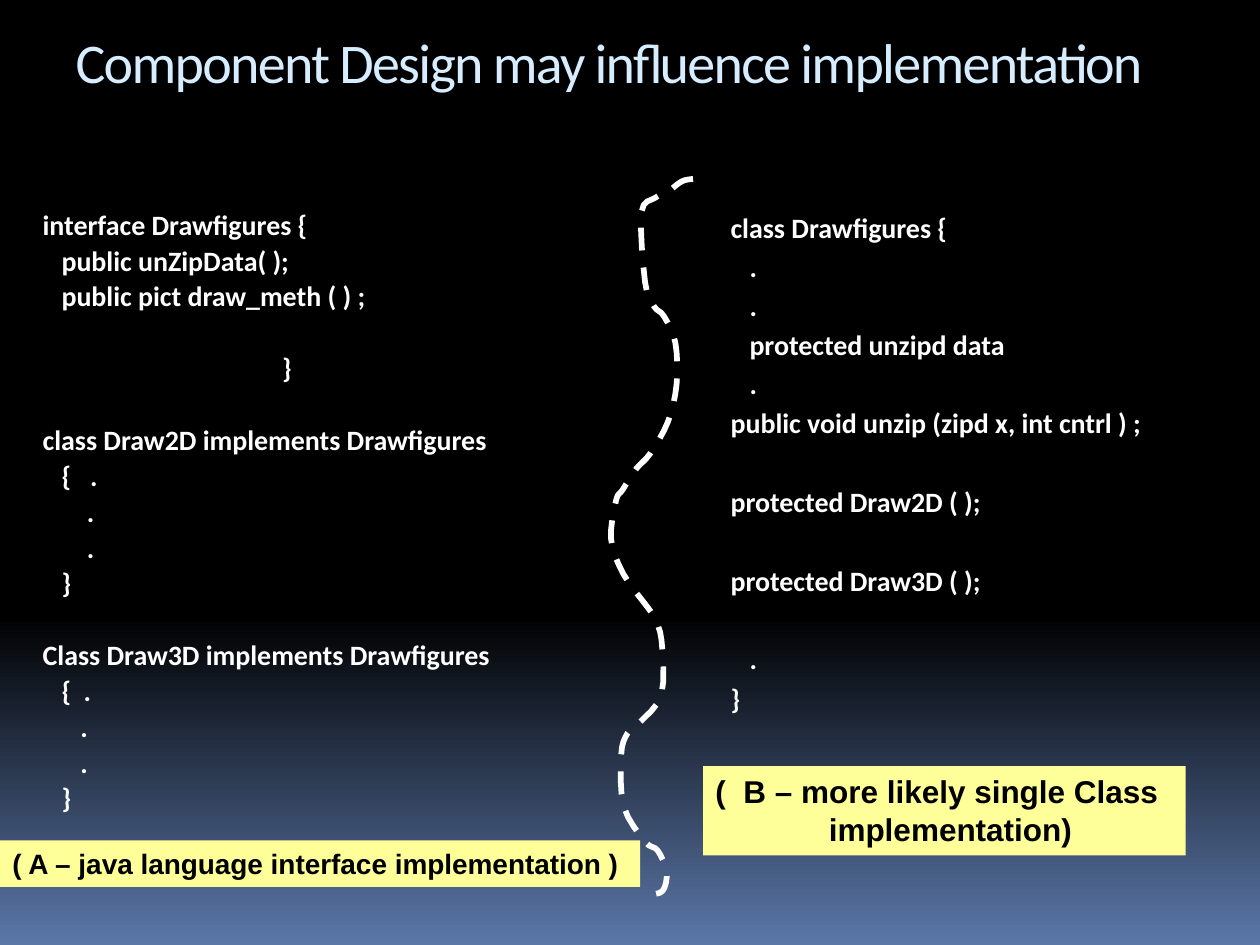
from pptx import Presentation
from pptx import util as u
from pptx.dml.color import RGBColor
from pptx.enum import dml, shapes, text

Inches, Pt = u.Inches, u.Pt


def color(code):
    return RGBColor.from_string(code)


def write(para, words, size, font, code, bold=True):
    run = para.add_run()
    run.text = words
    run.font.size, run.font.name, run.font.bold = Pt(size), font, bold
    run.font.color.rgb = color(code)
    return run


deck = Presentation()
deck.slide_width, deck.slide_height = Inches(10), Inches(7.5)
slide = deck.slides.add_slide(deck.slide_layouts[5])

# Background: black fading to blue at the bottom
back = slide.background.fill
back.gradient()
back.gradient_angle = 270
for stop, (place, code) in zip(back.gradient_stops, [(0.65, "000000"), (1, "5B77A8")]):
    stop.position = place
    stop.color.rgb = color(code)

# Title
title = slide.shapes.title
title.left, title.top, title.width, title.height = map(Inches, (0.5, 0.17, 9, 1.03))
frame = title.text_frame
frame.vertical_anchor = text.MSO_ANCHOR.TOP
frame.auto_size = text.MSO_AUTO_SIZE.NONE
para = frame.paragraphs[0]
para.alignment = text.PP_ALIGN.LEFT
run = write(para, "Component Design may influence implementation", 32, "Calibri", "D6ECFF", False)
run.font._element.set("spc", "-100")

# Code columns: each line is (words, indent in inches, empty lines above)
left = [
    ("interface Drawfigures {", 0, 0),
    ("public unZipData( );", 0.15, 0),
    ("public pict draw_meth ( ) ;", 0.15, 0),
    ("}", 1.9, 1),
    ("class Draw2D implements Drawfigures", 0, 1),
    ("{   .", 0.15, 0),
    (".", 0.35, 0),
    (".", 0.35, 0),
    ("}", 0.15, 0),
    ("Class Draw3D implements Drawfigures", 0, 1),
    ("{  .", 0.15, 0),
    (".", 0.3, 0),
    (".", 0.3, 0),
    ("}", 0.15, 0),
]
right = [
    ("class Drawfigures {", 0.05, 0),
    (".", 0.2, 0),
    (".", 0.2, 0),
    ("protected unzipd data", 0.2, 0),
    (".", 0.2, 0),
    ("public void unzip (zipd x, int cntrl ) ;", 0.05, 0),
    ("protected Draw2D ( );", 0.05, 1),
    ("protected Draw3D ( );", 0.05, 1),
    (".", 0.2, 1),
    ("}", 0.05, 0),
]
for x, lines, pitch in [(0.17, left, 0.7), (5.58, right, 0.8)]:
    box = slide.shapes.add_textbox(Inches(x), Inches(1.67), Inches(4.42), Inches(4.95))
    frame = box.text_frame
    frame.word_wrap = True
    for i, (words, indent, empty) in enumerate(lines):
        para = frame.add_paragraph() if i else frame.paragraphs[0]
        para.line_spacing = pitch
        para.space_before = Pt(7 + empty * (7 + 16 * 1.22 * pitch))
        para._p.get_or_add_pPr().set("marL", str(Inches(0.07 + indent)))
        write(para, words, 16, "Calibri", "FFFFFF")

# Dashed divider: a smooth curve through the knots
knots = [
    (5.5, 1.42), (5.41, 1.44), (5.29, 1.53), (5.2, 1.57), (5.09, 1.69), (5.12, 2.24),
    (5.19, 2.43), (5.27, 2.51), (5.36, 2.72), (5.37, 3.05), (5.3, 3.35), (5.16, 3.6),
    (5.05, 3.72), (4.94, 3.89), (4.89, 3.97), (4.85, 4.28), (4.95, 4.56), (5.14, 4.82),
    (5.19, 4.9), (5.25, 5.08), (5.25, 5.51), (5.07, 5.74), (4.98, 5.82), (4.93, 5.99),
    (4.95, 6.4), (5.12, 6.68), (5.22, 6.75), (5.29, 6.92), (5.26, 7.07), (5.15, 7.1),
]
ends = [knots[0]] + knots + [knots[-1]]
dots = []
for a, b, c, d in zip(ends, ends[1:], ends[2:], ends[3:]):
    for t in (0.25, 0.5, 0.75, 1):
        dots.append(tuple(
            Inches(q + t * (r - p + t * (2 * p - 5 * q + 4 * r - s
                                         + t * (3 * q - p - 3 * r + s))) / 2)
            for p, q, r, s in zip(a, b, c, d)))
pen = slide.shapes.build_freeform(Inches(5.5), Inches(1.42))
pen.add_line_segments(dots, close=False)
curve = pen.convert_to_shape()
curve.shadow.inherit = False
curve.fill.background()
curve.line.color.rgb = color("FFFFFF")
curve.line.width = Pt(3.25)
curve.line.dash_style = dml.MSO_LINE.DASH

# Yellow captions: each line is (words, indent in inches)
notes = [
    (0, 6.67, 5.08, 0.37, 16, [("( A – java language interface implementation )", 0)]),
    (5.58, 6.08, 3.83, 0.71, 18,
     [("(  B – more likely single Class", 0), ("implementation)", 0.9)]),
]
for x, y, w, h, size, lines in notes:
    note = slide.shapes.add_shape(
        shapes.MSO_SHAPE.RECTANGLE, Inches(x), Inches(y), Inches(w), Inches(h))
    note.shadow.inherit = False
    note.fill.solid()
    note.fill.fore_color.rgb = color("FFFF99")
    note.line.fill.background()
    frame = note.text_frame
    frame.word_wrap = True
    frame.vertical_anchor = text.MSO_ANCHOR.TOP
    for i, (words, indent) in enumerate(lines):
        para = frame.add_paragraph() if i else frame.paragraphs[0]
        para.alignment = text.PP_ALIGN.LEFT
        para._p.get_or_add_pPr().set("marL", str(Inches(indent)))
        write(para, words, size, "Arial", "000000")

deck.save("out.pptx")
